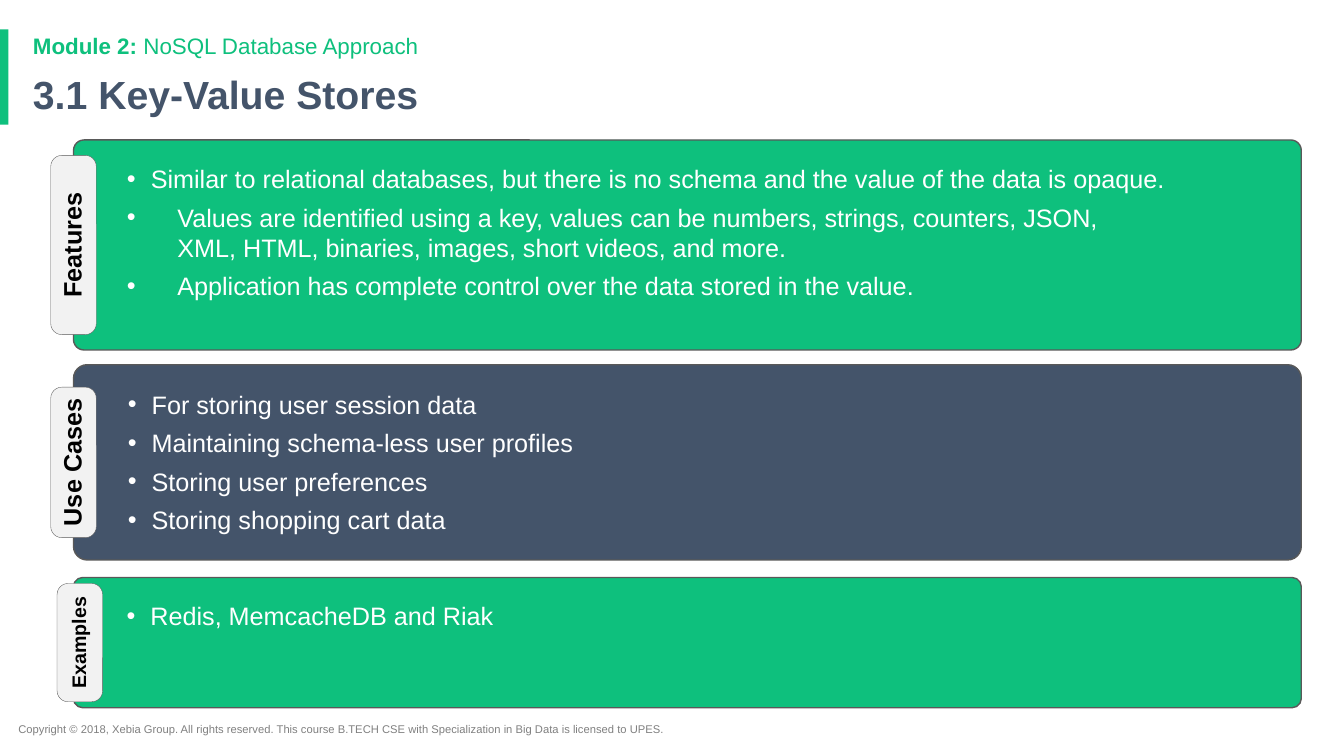
from lxml import etree
from pptx import Presentation
from pptx.dml.color import RGBColor
from pptx.enum.shapes import MSO_SHAPE
from pptx.enum.text import MSO_ANCHOR, PP_ALIGN
from pptx.oxml.ns import qn
from pptx.util import Pt

RECTANGLE = MSO_SHAPE.RECTANGLE
ROUNDED = MSO_SHAPE.ROUNDED_RECTANGLE
TOP, MIDDLE = MSO_ANCHOR.TOP, MSO_ANCHOR.MIDDLE
LEFT, CENTER = PP_ALIGN.LEFT, PP_ALIGN.CENTER

GREEN, SLATE, WHITE, BLACK = "0EC07D", "44546A", "FFFFFF", "000000"
PALE, OUTLINE, GREY = "F2F2F2", "595959", "808080"
PANEL_LEFT, PANEL_WIDTH = 52.5, 877
TAB_THICKNESS = 32.5
NARROW, WIDE = 17, 36

SECTIONS = [
    {"label": "Features", "label_size": 18, "top": 100, "height": 150, "fill": GREEN,
     "corner": 0.05, "tab_length": 128, "tab_shift": 0,
     "bullets": [
         ("Similar to relational databases, but there is no schema "
          "and the value of the data is opaque.", NARROW),
         ("Values are identified using a key, values can be numbers, strings, counters, JSON, \v"
          "XML, HTML, binaries, images, short videos, and more.", WIDE),
         ("Application has complete control over the data stored in the value.", WIDE)]},
    {"label": "Use Cases", "label_size": 18, "top": 260.5, "height": 139.5, "fill": SLATE,
     "corner": 0.07, "tab_length": 107.5, "tab_shift": 0,
     "bullets": [
         ("For storing user session data", NARROW),
         ("Maintaining schema-less user profiles", NARROW),
         ("Storing user preferences", NARROW),
         ("Storing shopping cart data", NARROW)]},
    {"label": "Examples", "label_size": 14, "top": 412.5, "height": 93, "fill": GREEN,
     "corner": 0.07, "tab_length": 84.5, "tab_shift": 4.5,
     "bullets": [("Redis, MemcacheDB and Riak", NARROW)]},
]


def color(value):
    return RGBColor.from_string(value)


def set_font(font, size, value, bold=False):
    font.name = "Arial"
    font.size = Pt(size)
    font.bold = bold
    font.color.rgb = color(value)


def set_frame(frame, margins, anchor):
    frame.word_wrap = True
    frame.vertical_anchor = anchor
    frame.margin_left, frame.margin_top, frame.margin_right, frame.margin_bottom = map(Pt, margins)


def add_block(page, kind, left, top, width, height, fill, line_width=0):
    block = page.shapes.add_shape(kind, Pt(left), Pt(top), Pt(width), Pt(height))
    block.shadow.inherit = False
    block.fill.solid()
    block.fill.fore_color.rgb = color(fill)
    if line_width:
        block.line.color.rgb = color(OUTLINE)
        block.line.width = Pt(line_width)
    else:
        block.line.fill.background()
    return block


def add_text(page, left, top, width, height, spans, size, value, spacing=0.9):
    box = page.shapes.add_textbox(Pt(left), Pt(top), Pt(width), Pt(height))
    set_frame(box.text_frame, (7.2, 3.6, 7.2, 3.6), MIDDLE)
    para = box.text_frame.paragraphs[0]
    para.line_spacing = spacing
    set_font(para.font, size, value)
    for text, bold in spans:
        span = para.add_run()
        span.text = text
        span.font.bold = bold


def add_bullet(para, text, indent):
    para.text = text
    para.alignment = LEFT
    para.space_after = Pt(6)
    properties = para._p.get_or_add_pPr()
    properties.set("marL", str(Pt(indent)))
    properties.set("indent", str(-Pt(indent)))
    etree.SubElement(properties, qn("a:buFont"), typeface="Arial")
    etree.SubElement(properties, qn("a:buChar"), char="•")
    set_font(para.font, 18, WHITE)


def add_panel(page, left, top, width, height, section):
    panel = add_block(page, ROUNDED, left, top, width, height, section["fill"], 1)
    panel.adjustments[0] = section["corner"]
    frame = panel.text_frame
    set_frame(frame, (36, 14.4, 7.2, 7.2), TOP)
    for index, (text, indent) in enumerate(section["bullets"]):
        para = frame.add_paragraph() if index else frame.paragraphs[0]
        add_bullet(para, text, indent)


def add_tab(page, center_x, center_y, length, label, size):
    tab = add_block(page, ROUNDED, center_x - length / 2, center_y - TAB_THICKNESS / 2,
                    length, TAB_THICKNESS, PALE, 0.25)
    tab.adjustments[0] = 0.24
    tab.rotation = 270
    set_frame(tab.text_frame, (0, 0, 0, 0), MIDDLE)
    para = tab.text_frame.paragraphs[0]
    para.text = label
    para.alignment = CENTER
    para.line_spacing = 0.9
    set_font(para.font, size, BLACK, True)


def add_section(page, left, top, width, height, section):
    add_panel(page, left, top, width, height, section)
    add_tab(page, left + section["tab_shift"], top + height / 2,
            section["tab_length"], section["label"], section["label_size"])


def add_header(page, left, top, width, height):
    add_block(page, RECTANGLE, left, top, 6, height, GREEN)
    add_text(page, left + 16.5, top + 0.5, width, 24,
             [("Module 2: ", True), ("NoSQL Database Approach", False)], 16, GREEN)
    add_text(page, left + 16.5, top + 28.5, width, 39,
             [("3.1 Key-Value Stores", True)], 28, SLATE)


def add_footer(page, left, top, width, height):
    notice = ("Copyright © 2018, Xebia Group. All rights reserved. This course B.TECH CSE "
              "with Specialization in Big Data is licensed to UPES.")
    add_text(page, left, top, width, height, [(notice, False)], 8, GREY, 1.0)


def main():
    deck = Presentation()
    deck.slide_width, deck.slide_height = Pt(960), Pt(540)
    page = deck.slides.add_slide(deck.slide_layouts[6])
    add_header(page, 0, 21, 828, 68)
    add_footer(page, 6, 512.5, 513, 17)
    for section in SECTIONS:
        add_section(page, PANEL_LEFT, section["top"], PANEL_WIDTH, section["height"], section)
    deck.save("out.pptx")


if __name__ == "__main__":
    main()
